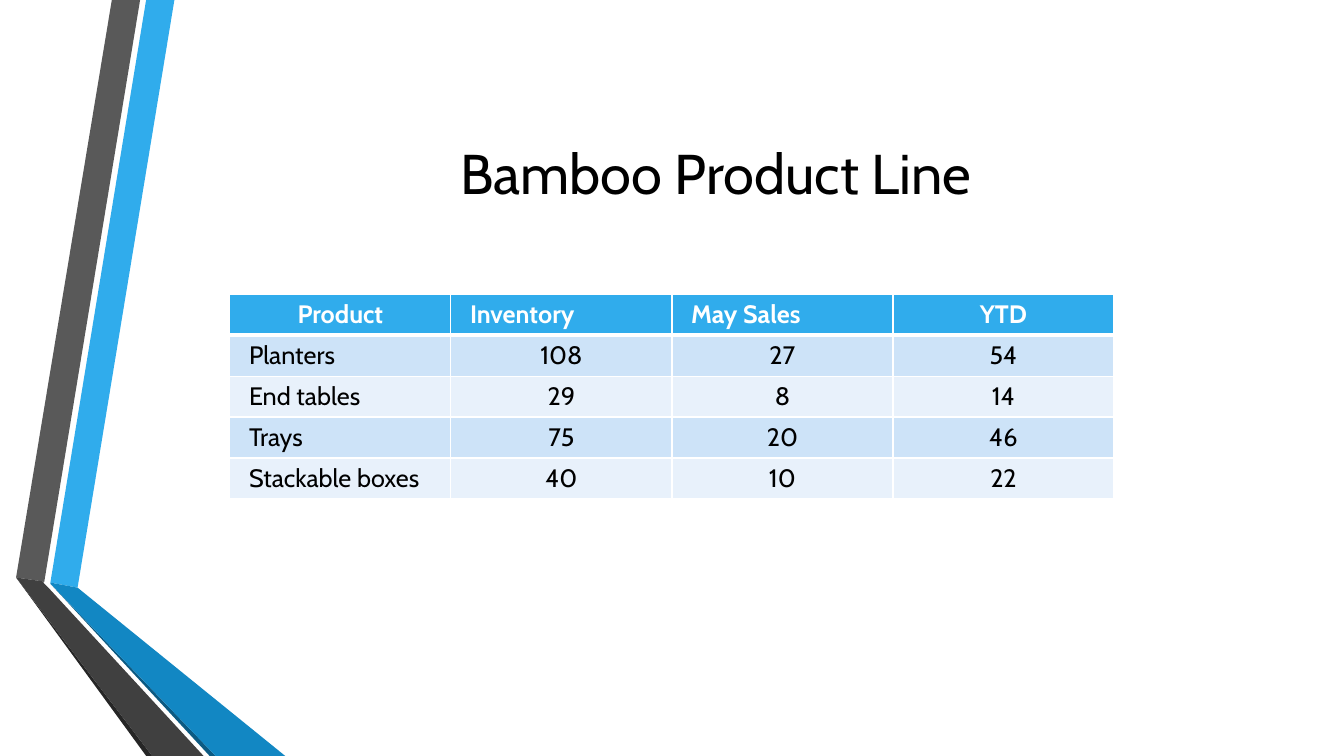
from lxml.etree import SubElement
from pptx import Presentation
from pptx.dml.color import RGBColor
from pptx.enum.text import MSO_ANCHOR, PP_ALIGN
from pptx.oxml.ns import qn
from pptx.util import Pt

PX = 9144
WHITE = RGBColor(0xFF, 0xFF, 0xFF)
BLACK = RGBColor(0x00, 0x00, 0x00)
BLUE = RGBColor(0x30, 0xAC, 0xEC)
MID_BLUE = RGBColor(0x12, 0x87, 0xC3)
DEEP_BLUE = RGBColor(0x0C, 0x5A, 0x82)
GREY = RGBColor(0x59, 0x59, 0x59)
DARK_GREY = RGBColor(0x40, 0x40, 0x40)
CHARCOAL = RGBColor(0x26, 0x26, 0x26)
BAND = RGBColor(0xCD, 0xE3, 0xF8)
PALE_BAND = RGBColor(0xE8, 0xF1, 0xFB)

RIBBONS = [
    (BLUE, [(50, 578), (77, 583), (173, 0), (145, 0)]),
    (GREY, [(139, 0), (111, 0), (16, 573), (44, 577)]),
    (CHARCOAL, [(16, 573), (145, 750), (151, 750)]),
    (DEEP_BLUE, [(50, 579), (208, 750), (214, 750)]),
    (MID_BLUE, [(50, 578), (50, 579), (214, 750), (283, 750), (77, 583)]),
    (DARK_GREY, [(202, 750), (48, 583), (43, 578), (44, 577), (16, 573), (151, 750)]),
]
PRODUCTS = [
    ("Product", "Inventory", "May Sales", "YTD"),
    ("Planters", "108", "27", "54"),
    ("End tables", "29", "8", "14"),
    ("Trays", "75", "20", "46"),
    ("Stackable boxes", "40", "10", "22"),
]
LEFT_ALIGNED_HEADERS = ("Inventory", "May Sales")


class Deck:
    """Holds the presentation style and draws elements on the current slide."""

    font = "Cabin"

    def __init__(self, w, h):
        self.prs = Presentation()
        self.prs.slide_width, self.prs.slide_height = w * PX, h * PX
        self.s = self.prs.slides.add_slide(self.prs.slide_layouts[6])

    def style(self, p, size, color, align, bold=False):
        p.alignment = align
        p.font.name = self.font
        p.font.size = Pt(size)
        p.font.bold = bold
        p.font.color.rgb = color

    def polygon(self, color, points):
        builder = self.s.shapes.build_freeform(*points[0], scale=PX)
        builder.add_line_segments(points[1:], close=True)
        sp = builder.convert_to_shape()
        sp.shadow.inherit = False
        sp.fill.solid()
        sp.fill.fore_color.rgb = color
        sp.line.fill.background()

    def title(self, text, x, y, w, h):
        tf = self.s.shapes.add_textbox(x * PX, y * PX, w * PX, h * PX).text_frame
        tf.word_wrap = True
        tf.vertical_anchor = MSO_ANCHOR.MIDDLE
        tf.text = text
        self.style(tf.paragraphs[0], 40, BLACK, PP_ALIGN.CENTER)

    def border(self, cell, side, width):
        ln = SubElement(cell._tc.get_or_add_tcPr(), qn(f"a:ln{side}"), w=str(Pt(width)))
        fill = SubElement(ln, qn("a:solidFill"))
        SubElement(fill, qn("a:srgbClr"), val=str(WHITE))

    def cell(self, cell, text, fill, color, align, bold, top, bottom):
        for side, width in zip("LRTB", (1, 1, top, bottom)):
            self.border(cell, side, width)
        cell.fill.solid()
        cell.fill.fore_color.rgb = fill
        cell.margin_left = cell.margin_right = 19 * PX
        cell.margin_top = cell.margin_bottom = 5 * PX
        cell.vertical_anchor = MSO_ANCHOR.MIDDLE
        cell.text = text
        self.style(cell.text_frame.paragraphs[0], 18, color, align, bold)

    def table(self, rows, x, y, w, h):
        frame = self.s.shapes.add_table(len(rows), len(rows[0]), x * PX, y * PX, w * PX, h * PX)
        for i, row in enumerate(rows):
            header = i == 0
            fill = BLUE if header else BAND if i % 2 else PALE_BAND
            for j, text in enumerate(row):
                left = text in LEFT_ALIGNED_HEADERS if header else j == 0
                self.cell(
                    frame.table.cell(i, j), text, fill,
                    color=WHITE if header else BLACK,
                    align=PP_ALIGN.LEFT if left else PP_ALIGN.CENTER,
                    bold=header,
                    top=3 if i == 1 else 1,
                    bottom=3 if header else 1,
                )


def main():
    deck = Deck(1333, 750)
    for color, points in RIBBONS:
        deck.polygon(color, points)
    deck.title("Bamboo Product Line", 162, 75, 1096, 192)
    deck.table(PRODUCTS, 228, 292, 877, 203)
    deck.prs.save("out.pptx")


if __name__ == "__main__":
    main()
